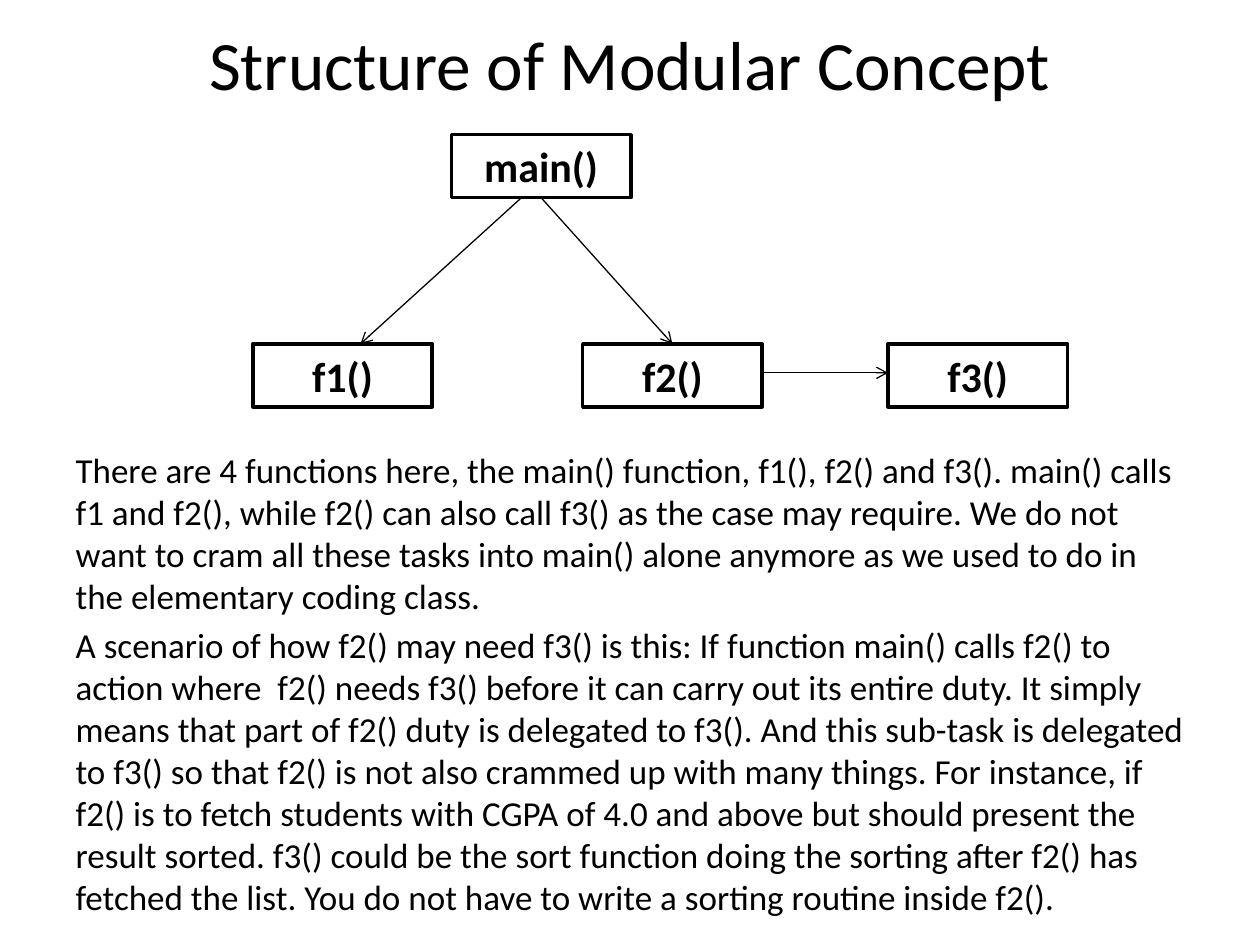
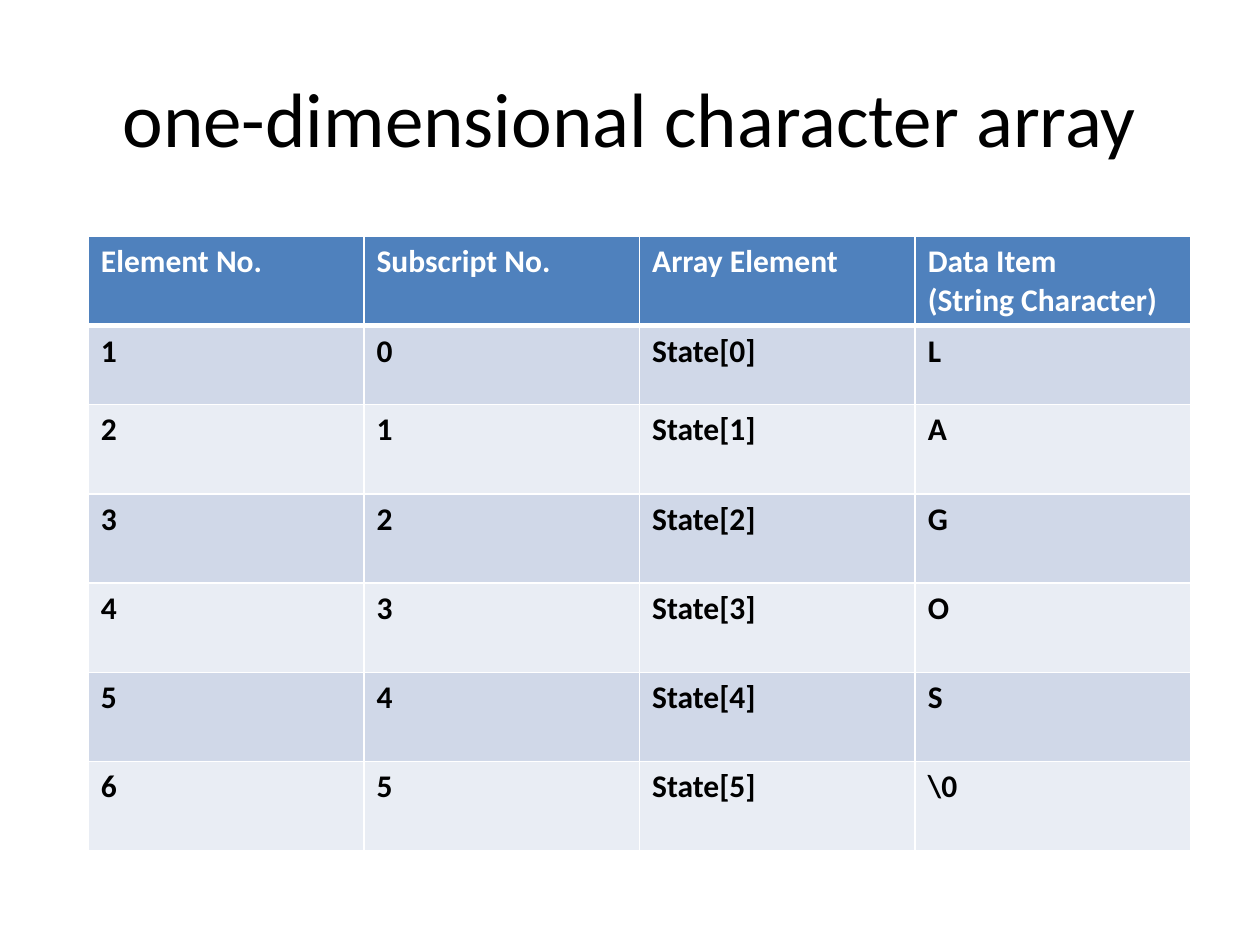
from lxml.etree import SubElement
from pptx import Presentation
from pptx.dml.color import RGBColor
from pptx.enum.shapes import MSO_CONNECTOR, MSO_SHAPE
from pptx.enum.text import MSO_ANCHOR, MSO_AUTO_SIZE, PP_ALIGN
from pptx.oxml.ns import qn
from pptx.util import Pt

# Content
MODULAR_TITLE = "Structure of Modular Concept"
MODULAR_TEXT = [
    "There are 4 functions here, the main() function, f1(), f2() and f3(). main() calls "
    "f1 and f2(), while f2() can also call f3() as the case may require. We do not want "
    "to cram all these tasks into main() alone anymore as we used to do in the elementary "
    "coding class. ",
    "A scenario of how f2() may need f3() is this: If function main() calls f2() to action "
    "where  f2() needs f3() before it can carry out its entire duty. It simply means that "
    "part of f2() duty is delegated to f3(). And this sub-task is delegated to f3() so that "
    "f2() is not also crammed up with many things. For instance, if f2() is to fetch "
    "students with CGPA of 4.0 and above but should present the result sorted. f3() could "
    "be the sort function doing the sorting after f2() has fetched the list. You do not "
    "have to write a sorting routine inside f2().",
]
# Left and top of each function box
FUNCTIONS = {
    "main()": (258, 77),
    "f3()": (507.5, 196.5),
    "f2()": (333, 196.5),
    "f1()": (144.5, 196.5),
}
# Caller, callee, and where the arrow leaves and arrives as fractions of each box
CALLS = [
    ("main()", "f1()", (0.39, 1), (0.6, 0)),
    ("f2()", "f3()", (1, 0.46), (0, 0.46)),
    ("main()", "f2()", (0.5, 1), (0.5, 0)),
]
ARRAY_TITLE = "one-dimensional character array"
ARRAY_HEADER = ["Element No.", "Subscript No.", "Array Element",
                "Data Item\n(String Character)"]
ARRAY_ITEMS = ["L", "A", "G", "O", "S", "\\0"]

# Shared look
FONT = "Calibri"
BLACK = RGBColor(0x00, 0x00, 0x00)
WHITE = RGBColor(0xFF, 0xFF, 0xFF)
HEADER_BLUE = RGBColor(0x4F, 0x81, 0xBD)
BANDS = [RGBColor(0xD0, 0xD8, 0xE8), RGBColor(0xE9, 0xED, 0xF4)]
MARGIN, CONTENT_WIDTH = 36, 648
BOX_WIDTH, BOX_HEIGHT = 102.5, 36
TABLE_LEFT, TABLE_TOP, TABLE_WIDTH = 50.5, 135, 630
ROW_HEIGHTS = [50.5, 45] + [51] * 5


def place(shape, left, top, width, height):
    """Move and size a shape, in points."""
    shape.left, shape.top = Pt(left), Pt(top)
    shape.width, shape.height = Pt(width), Pt(height)


def style(paragraph, size, color=BLACK, bold=False):
    """Set the font of a whole paragraph."""
    font = paragraph.font
    font.name, font.size, font.bold = FONT, Pt(size), bold
    font.color.rgb = color


def set_title(slide, text, top, size, anchor):
    """Fill and place the title placeholder."""
    title = slide.shapes.title
    place(title, MARGIN, top, CONTENT_WIDTH, 90)
    frame = title.text_frame
    frame.text = text
    frame.auto_size = MSO_AUTO_SIZE.NONE
    frame.vertical_anchor = anchor
    frame.paragraphs[0].alignment = PP_ALIGN.CENTER
    style(frame.paragraphs[0], size)
    return frame


def set_body(slide, texts):
    """Fill the body placeholder with plain, unbulleted paragraphs."""
    body = slide.placeholders[1]
    place(body, MARGIN, 252.5, CONTENT_WIDTH, 272)
    frame = body.text_frame
    frame.text = "\n".join(texts)
    frame.auto_size = MSO_AUTO_SIZE.NONE
    for paragraph in frame.paragraphs:
        style(paragraph, 20)
        paragraph.space_before = Pt(4)
        properties = paragraph._p.get_or_add_pPr()
        properties.set("marL", "0")
        properties.set("indent", "0")
        SubElement(properties, qn("a:buNone"))


def add_function(diagram, name):
    """Draw the box of one function."""
    box = diagram.shapes.add_shape(MSO_SHAPE.RECTANGLE, 0, 0, 0, 0)
    place(box, *FUNCTIONS[name], BOX_WIDTH, BOX_HEIGHT)
    box.shadow.inherit = False
    box.fill.solid()
    box.fill.fore_color.rgb = WHITE
    box.line.color.rgb = BLACK
    box.line.width = Pt(2)
    frame = box.text_frame
    frame.text = name
    frame.vertical_anchor = MSO_ANCHOR.MIDDLE
    frame.paragraphs[0].alignment = PP_ALIGN.CENTER
    style(frame.paragraphs[0], 24, bold=True)


def point_on(name, fractions):
    """Return the point at the given fractions of a function box."""
    left, top = FUNCTIONS[name]
    return Pt(left + fractions[0] * BOX_WIDTH), Pt(top + fractions[1] * BOX_HEIGHT)


def add_call(diagram, caller, callee, leave, arrive):
    """Draw an arrow from a caller to its callee."""
    arrow = diagram.shapes.add_connector(
        MSO_CONNECTOR.STRAIGHT, *point_on(caller, leave), *point_on(callee, arrive))
    arrow.line.color.rgb = BLACK
    arrow.line.width = Pt(0.75)
    SubElement(arrow.line._get_or_add_ln(), qn("a:tailEnd"), type="arrow")
    SubElement(arrow._element.spPr, qn("a:effectLst"))


def set_borders(cell, bottom):
    """Give a cell white borders; the bottom width is in points."""
    properties = cell._tc.get_or_add_tcPr()
    widths = {"a:lnL": 1, "a:lnR": 1, "a:lnT": 1, "a:lnB": bottom}
    for position, (side, width) in enumerate(widths.items()):
        border = properties.makeelement(qn(side), {"w": str(Pt(width))})
        properties.insert(position, border)
        fill = SubElement(border, qn("a:solidFill"))
        SubElement(fill, qn("a:srgbClr"), val=str(WHITE))


def add_array_table(slide):
    """Draw the table of array elements, one row per character."""
    rows = [ARRAY_HEADER] + [
        [str(index + 1), str(index), f"State[{index}]", item]
        for index, item in enumerate(ARRAY_ITEMS)]
    table = slide.shapes.add_table(
        len(rows), len(ARRAY_HEADER), Pt(TABLE_LEFT), Pt(TABLE_TOP),
        Pt(TABLE_WIDTH), Pt(sum(ROW_HEIGHTS))).table
    for column in table.columns:
        column.width = Pt(TABLE_WIDTH / len(ARRAY_HEADER))
    for row_index, texts in enumerate(rows):
        table.rows[row_index].height = Pt(ROW_HEIGHTS[row_index])
        is_header = row_index == 0
        for column_index, text in enumerate(texts):
            cell = table.cell(row_index, column_index)
            cell.text = text
            cell.fill.solid()
            cell.fill.fore_color.rgb = (
                HEADER_BLUE if is_header else BANDS[(row_index - 1) % 2])
            for paragraph in cell.text_frame.paragraphs:
                style(paragraph, 18, WHITE if is_header else BLACK, bold=True)
            set_borders(cell, 3 if is_header else 1)


def build_modular_slide(deck):
    """Build the slide with the call diagram and its explanation."""
    slide = deck.slides.add_slide(deck.slide_layouts[1])
    title_frame = set_title(slide, MODULAR_TITLE, 12, 39.6, MSO_ANCHOR.TOP)
    title_frame.margin_top = 0
    set_body(slide, MODULAR_TEXT)
    diagram = slide.shapes.add_group_shape()
    for name in FUNCTIONS:
        add_function(diagram, name)
    for call in CALLS:
        add_call(diagram, *call)


def build_array_slide(deck):
    """Build the slide with the character array table."""
    slide = deck.slides.add_slide(deck.slide_layouts[5])
    set_title(slide, ARRAY_TITLE, 21.5, 44, MSO_ANCHOR.MIDDLE)
    add_array_table(slide)


deck = Presentation()
deck.slide_width, deck.slide_height = Pt(720), Pt(540)
build_modular_slide(deck)
build_array_slide(deck)
deck.save("out.pptx")
